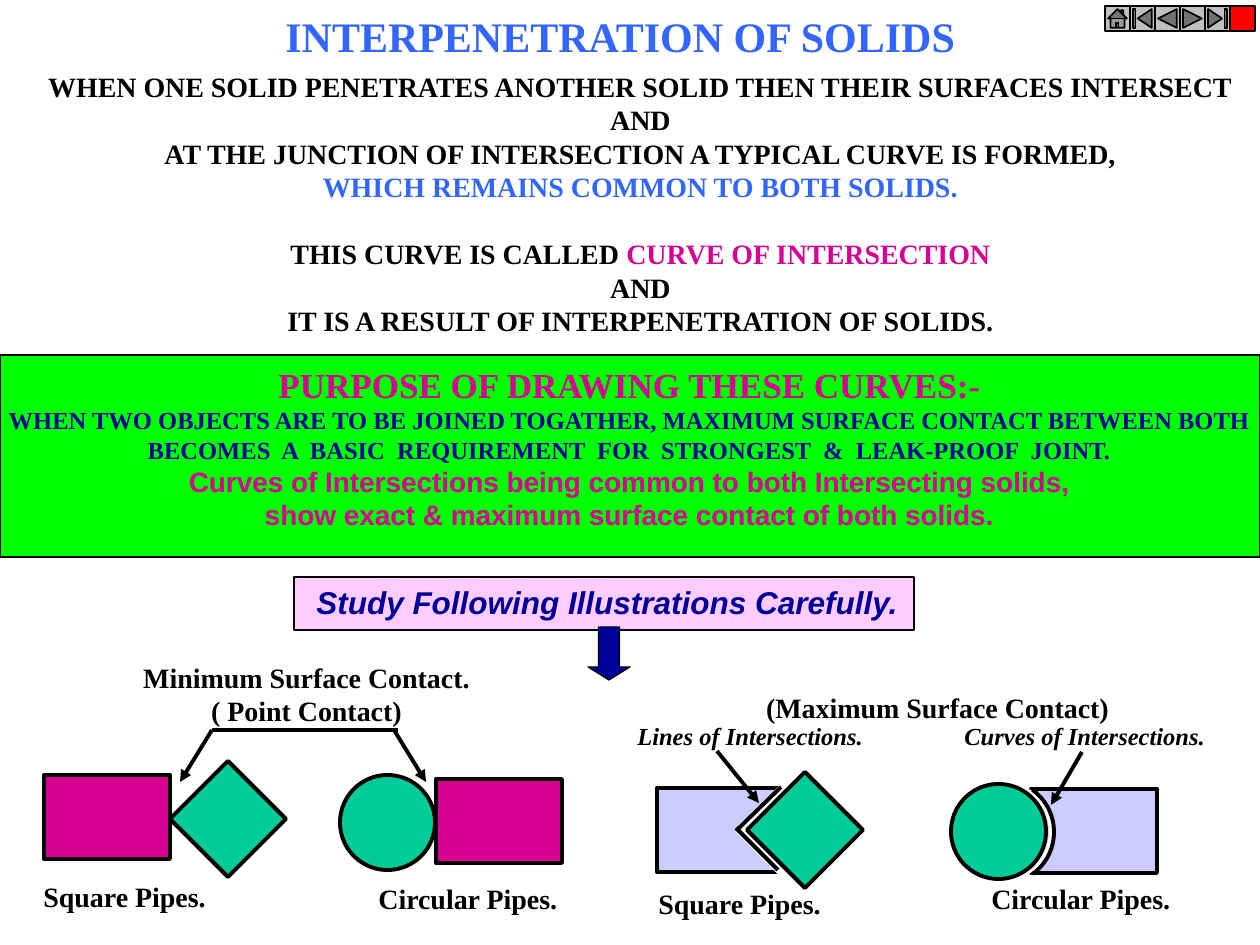
from dataclasses import dataclass

from lxml.etree import SubElement
from pptx import Presentation
from pptx.dml.color import RGBColor
from pptx.enum.shapes import MSO_CONNECTOR, MSO_SHAPE
from pptx.enum.text import PP_ALIGN
from pptx.oxml.ns import qn
from pptx.util import Emu, Pt

BLACK = RGBColor(0x00, 0x00, 0x00)
WHITE = RGBColor(0xFF, 0xFF, 0xFF)
BLUE = RGBColor(0x33, 0x66, 0xFF)
NAVY = RGBColor(0x00, 0x00, 0x99)
MAGENTA = RGBColor(0xD6, 0x00, 0x93)
GREEN = RGBColor(0x00, 0xFF, 0x00)
TEAL = RGBColor(0x00, 0xCC, 0x99)
LILAC = RGBColor(0xCC, 0xCC, 0xFF)
PINK = RGBColor(0xFF, 0xCC, 0xFF)
SILVER = RGBColor(0xC0, 0xC0, 0xC0)
RED = RGBColor(0xFF, 0x00, 0x00)

SERIF = "Times New Roman"
SANS = "Arial"
PX_PER_INCH = 126


def px(length):
    return Emu(round(length * 914400 / PX_PER_INCH))


@dataclass
class Line:
    words: str
    size: int = 16
    color: RGBColor = BLACK
    font: str = SERIF
    italic: bool = False
    gap: int = 0
    ending: str = ""
    ending_color: RGBColor = BLACK


class Board:
    thick = 2.25
    thin = 0.75

    def __init__(self, slide):
        self.slide = slide

    def shape(self, kind, box, fill, outline=BLACK, weight=thick, adjustments=()):
        shape = self.slide.shapes.add_shape(kind, *map(px, box))
        shape.shadow.inherit = False
        if fill is None:
            shape.fill.background()
        else:
            shape.fill.solid()
            shape.fill.fore_color.rgb = fill
        shape.line.color.rgb = outline
        shape.line.width = Pt(weight)
        for index, value in enumerate(adjustments):
            shape.adjustments[index] = value

    def text(self, box, *lines, align=PP_ALIGN.LEFT, wrap=False):
        frame = self.slide.shapes.add_textbox(*map(px, box)).text_frame
        frame.word_wrap = wrap
        for index, line in enumerate(lines):
            paragraph = frame.add_paragraph() if index else frame.paragraphs[0]
            paragraph.alignment = align
            if line.gap:
                paragraph.space_before = Pt(line.gap)
            font = paragraph.font
            font.name, font.size = line.font, Pt(line.size)
            font.bold, font.italic = True, line.italic
            words = paragraph.add_run()
            words.text = line.words
            if line.ending:
                words.font.color.rgb = line.color
                ending = paragraph.add_run()
                ending.text = line.ending
                ending.font.color.rgb = line.ending_color
            else:
                font.color.rgb = line.color

    def line(self, start, end, arrow=False):
        line = self.slide.shapes.add_connector(
            MSO_CONNECTOR.STRAIGHT, *map(px, start + end))
        line.line.color.rgb = BLACK
        line.line.width = Pt(self.thick)
        if arrow:
            SubElement(line.line._get_or_add_ln(), qn("a:tailEnd"), type="triangle")
        SubElement(line._element.spPr, qn("a:effectLst"))


def draw_statements(board):
    board.shape(MSO_SHAPE.RECTANGLE, (0, 355, 1260, 202), GREEN, weight=board.thin)
    board.text((273, 4, 701, 63), Line("INTERPENETRATION OF SOLIDS", 24, BLUE))
    board.text(
        (29, 63, 1223, 282),
        Line("WHEN ONE SOLID PENETRATES ANOTHER SOLID THEN THEIR SURFACES INTERSECT"),
        Line("AND"),
        Line("AT THE JUNCTION OF INTERSECTION A TYPICAL CURVE IS FORMED,"),
        Line("WHICH REMAINS COMMON TO BOTH SOLIDS.", color=BLUE),
        Line("THIS CURVE IS CALLED ", gap=19,
             ending="CURVE OF INTERSECTION", ending_color=MAGENTA),
        Line("AND"),
        Line("IT IS A RESULT OF INTERPENETRATION OF SOLIDS."),
        align=PP_ALIGN.CENTER)
    board.text(
        (-11, 357, 1281, 180),
        Line("PURPOSE OF DRAWING THESE CURVES:-", 20, MAGENTA),
        Line("WHEN TWO OBJECTS ARE TO BE JOINED TOGATHER, "
             "MAXIMUM SURFACE CONTACT BETWEEN BOTH", 14, NAVY),
        Line("BECOMES  A  BASIC  REQUIREMENT  FOR  STRONGEST  &  LEAK-PROOF  JOINT.",
             14, NAVY),
        Line("Curves of Intersections being common to both Intersecting solids,",
             16, MAGENTA, SANS),
        Line("show exact & maximum surface contact of both solids.",
             16, MAGENTA, SANS),
        align=PP_ALIGN.CENTER, wrap=True)
    board.shape(MSO_SHAPE.RECTANGLE, (294, 577, 620, 53), PINK, weight=board.thin)
    board.text((304, 577, 609, 51),
               Line("Study Following Illustrations Carefully.", 18, NAVY, SANS, True))


def draw_minimum_contact(board):
    board.shape(MSO_SHAPE.DIAMOND, (170, 761, 116, 116), TEAL)
    board.shape(MSO_SHAPE.RECTANGLE, (44, 775, 126, 84), MAGENTA)
    board.shape(MSO_SHAPE.OVAL, (340, 775, 95, 95), TEAL)
    board.shape(MSO_SHAPE.RECTANGLE, (436, 779, 126, 84), MAGENTA)
    board.line((394, 730), (426, 782), arrow=True)
    board.line((398, 730), (212, 730))
    board.line((212, 730), (180, 782), arrow=True)
    board.text((130, 654, 353, 81), Line("Minimum Surface Contact."),
               Line("( Point Contact)"), align=PP_ALIGN.CENTER)


def draw_maximum_contact(board):
    board.text((753, 684, 369, 47), Line("(Maximum Surface Contact)"),
               align=PP_ALIGN.CENTER)
    board.shape(MSO_SHAPE.RECTANGLE, (1031, 789, 126, 84), LILAC)
    board.shape(MSO_SHAPE.OVAL, (956, 784, 95, 95), LILAC, WHITE)
    board.shape(MSO_SHAPE.OVAL, (951, 784, 95, 95), TEAL)
    degree = 0.6
    board.shape(MSO_SHAPE.ARC, (950, 780, 104, 104), None,
                adjustments=(306 * degree, 54 * degree))
    board.shape(MSO_SHAPE.RECTANGLE, (657, 788, 126, 84), LILAC)
    board.shape(MSO_SHAPE.DIAMOND, (737, 778, 105, 105), WHITE, WHITE)
    board.line((781, 787), (738, 829))
    board.line((736, 828), (778, 870))
    board.shape(MSO_SHAPE.DIAMOND, (747, 772, 116, 116), TEAL)
    board.line((717, 751), (759, 803), arrow=True)
    board.line((1082, 752), (1051, 805), arrow=True)
    for left, width, caption in ((625, 251, "Lines of Intersections."),
                                 (952, 266, "Curves of Intersections.")):
        board.text((left, 715, width, 42), Line(caption, 14, italic=True))


def draw_pipe_names(board):
    for left, top, width, name in ((31, 873, 189, "Square Pipes."),
                                   (366, 875, 207, "Circular Pipes."),
                                   (646, 880, 189, "Square Pipes."),
                                   (979, 875, 207, "Circular Pipes.")):
        board.text((left, top, width, 47), Line(name))


def draw_navigation(board):
    buttons = (
        (MSO_SHAPE.ACTION_BUTTON_HOME, SILVER),
        (MSO_SHAPE.ACTION_BUTTON_BEGINNING, SILVER),
        (MSO_SHAPE.ACTION_BUTTON_BACK_OR_PREVIOUS, SILVER),
        (MSO_SHAPE.ACTION_BUTTON_FORWARD_OR_NEXT, SILVER),
        (MSO_SHAPE.ACTION_BUTTON_END, SILVER),
        (MSO_SHAPE.ACTION_BUTTON_CUSTOM, RED),
    )
    side = 25
    for index, (kind, fill) in enumerate(buttons):
        board.shape(kind, (1105 + index * side, 6, side, side), fill, weight=1)


def main():
    deck = Presentation()
    deck.slide_width, deck.slide_height = px(1260), px(945)
    board = Board(deck.slides.add_slide(deck.slide_layouts[6]))
    draw_statements(board)
    draw_minimum_contact(board)
    draw_maximum_contact(board)
    draw_pipe_names(board)
    board.shape(MSO_SHAPE.DOWN_ARROW, (588, 627, 42, 53), NAVY,
                weight=board.thin, adjustments=(0.5, 0.31))
    draw_navigation(board)
    deck.save("out.pptx")


if __name__ == "__main__":
    main()
